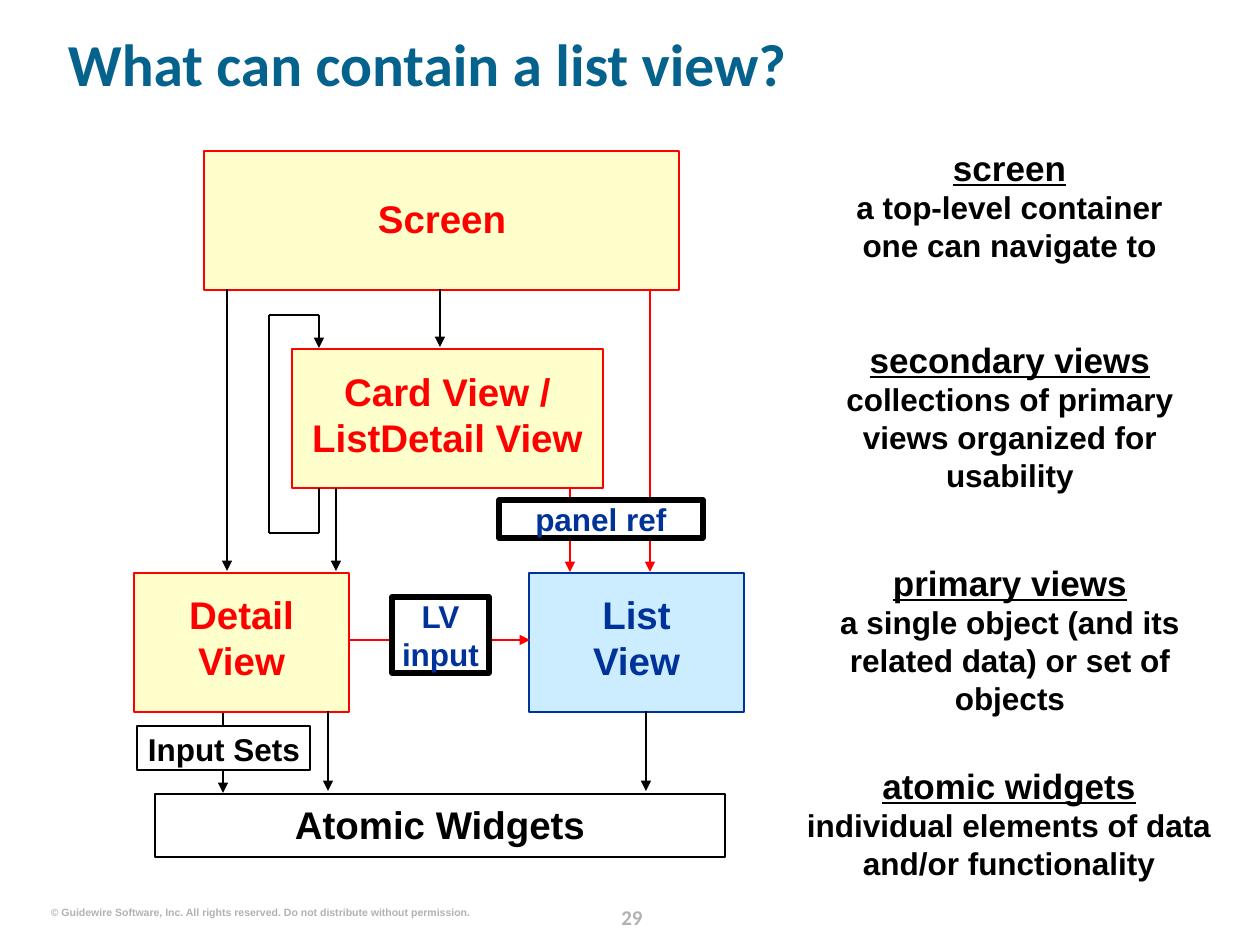
from itertools import pairwise

from lxml import etree
from pptx import Presentation
from pptx import util as u
from pptx.dml.color import RGBColor
from pptx.enum import shapes, text
from pptx.oxml.ns import qn

SCALE = 914400 / 126  # EMU in one px
COLORS = {
    "red": "FF0000", "navy": "003399", "black": "000000", "white": "FFFFFF",
    "cream": "FFFFCC", "sky": "CCECFF", "teal": "04628C", "gray": "B2B2B2",
}


def px(*lengths):
    return [u.Emu(round(length * SCALE)) for length in lengths]


def color(name):
    return RGBColor.from_string(COLORS[name])


class Painter:
    """Holds the style and the current slide."""

    font = "Arial"
    line_width = 1.5

    def __init__(self, page):
        self.shapes = page.shapes

    def set_text(self, frame, words, size, ink, font=None, align="CENTER",
                 anchor="TOP", wrap=True):
        frame.margin_left = frame.margin_right = 0
        frame.margin_top = frame.margin_bottom = 0
        frame.word_wrap = wrap
        frame.vertical_anchor = text.MSO_ANCHOR[anchor]
        para = frame.paragraphs[0]
        para.text = words.replace("\n", "\v")
        para.alignment = text.PP_ALIGN[align]
        para.font.name = font or self.font
        para.font.size = u.Pt(size)
        para.font.bold = True
        para.font.color.rgb = color(ink)
        return para

    def label(self, place, words, size=22, ink="black", **options):
        box = self.shapes.add_textbox(*px(*place))
        return self.set_text(box.text_frame, words, size, ink, **options)

    def box(self, place, fill, edge, width=None):
        shape = self.shapes.add_shape(shapes.MSO_SHAPE.RECTANGLE, *px(*place))
        shape.shadow.inherit = False
        if fill:
            shape.fill.solid()
            shape.fill.fore_color.rgb = color(fill)
        else:
            shape.fill.background()
        shape.line.color.rgb = color(edge)
        shape.line.width = u.Pt(width or self.line_width)
        return shape

    def tag(self, place, words):
        shape = self.box(place, "white", "black", 3)
        self.set_text(shape.text_frame, words, 18, "navy")

    def line(self, start, end, ink="black", arrow=True):
        line = self.shapes.add_connector(
            shapes.MSO_CONNECTOR.STRAIGHT, *px(*start, *end))
        line.line.color.rgb = color(ink)
        line.line.width = u.Pt(self.line_width)
        properties = line._element.spPr
        if arrow:
            outline = properties.find(qn("a:ln"))
            etree.SubElement(outline, qn("a:tailEnd"), type="triangle")
        etree.SubElement(properties, qn("a:effectLst"))

    def note(self, place, term, meaning):
        para = self.label(place, term, 18)
        heading = para.runs[0].font
        heading.size = u.Pt(20)
        heading.underline = True
        for part in meaning.split("\n"):
            para.add_line_break()
            para.add_run().text = part


def main():
    deck = Presentation()
    deck.slide_width, deck.slide_height = px(1260, 945)
    page = Painter(deck.slides.add_slide(deck.slide_layouts[6]))

    # Footer and title
    number = page.label((596, 898, 72, 32), "29", 12, "gray", font="Calibri")
    number.line_spacing = u.Pt(18)
    page.label((50, 906, 420, 13),
               "© Guidewire Software, Inc. All rights reserved. "
               "Do not distribute without permission.",
               6, "gray", align="RIGHT", wrap=False)
    title = page.label((68, 16, 1147, 102), "What can contain a list view?",
                       34, "teal", font="Calibri", align="LEFT",
                       anchor="MIDDLE")
    title.line_spacing = 0.9

    # Containers: box, fill, edge and text colour, label place, label
    containers = [
        ((204, 151, 475, 139), "cream", "red", (263, 195, 358, 47), "Screen"),
        ((292, 349, 311, 139), "cream", "red", (295, 368, 305, 92),
         "Card View / ListDetail View"),
        ((134, 573, 215, 139), "cream", "red", (164, 591, 155, 92),
         "Detail\nView"),
        ((529, 573, 215, 139), "sky", "navy", (564, 591, 145, 92),
         "List\nView"),
        ((155, 794, 570, 63), None, "black", (221, 801, 438, 47),
         "Atomic Widgets"),
    ]
    for place, fill, ink, label_place, words in containers:
        page.box(place, fill, ink)
        page.label(label_place, words, ink=ink)

    # Downward arrows: x, top, bottom, colour
    for x, top, bottom, ink in [
        (227, 289, 571, "black"), (440, 289, 347, "black"),
        (650, 290, 572, "red"), (336, 488, 571, "black"),
        (570, 489, 572, "red"), (223, 713, 793, "black"),
        (328, 711, 791, "black"), (646, 711, 791, "black"),
    ]:
        page.line((x, top), (x, bottom), ink)
    page.line((350, 640), (530, 640), "red")

    # Loop from the card view back to itself
    loop = [(319, 488), (319, 533), (269, 533), (269, 315), (319, 315),
            (319, 348)]
    for start, end in pairwise(loop):
        page.line(start, end, arrow=end == loop[-1])

    # Tags on the arrows
    page.box((137, 726, 173, 44), "white", "black")
    page.label((146, 730, 156, 38), "Input Sets", 18)
    page.tag((499, 500, 204, 38), "panel ref")
    page.tag((392, 597, 97, 76), "LV\ninput")

    # Definitions on the right
    page.note((798, 146, 423, 122), "screen",
              "a top-level container\none can navigate to")
    page.note((809, 338, 402, 155), "secondary views",
              "collections of primary views organized for usability")
    page.note((834, 561, 352, 155), "primary views",
              "a single object (and its related data) or set of objects")
    page.note((805, 764, 408, 117), "atomic widgets",
              "individual elements of data and/or functionality")

    deck.save("out.pptx")


if __name__ == "__main__":
    main()
